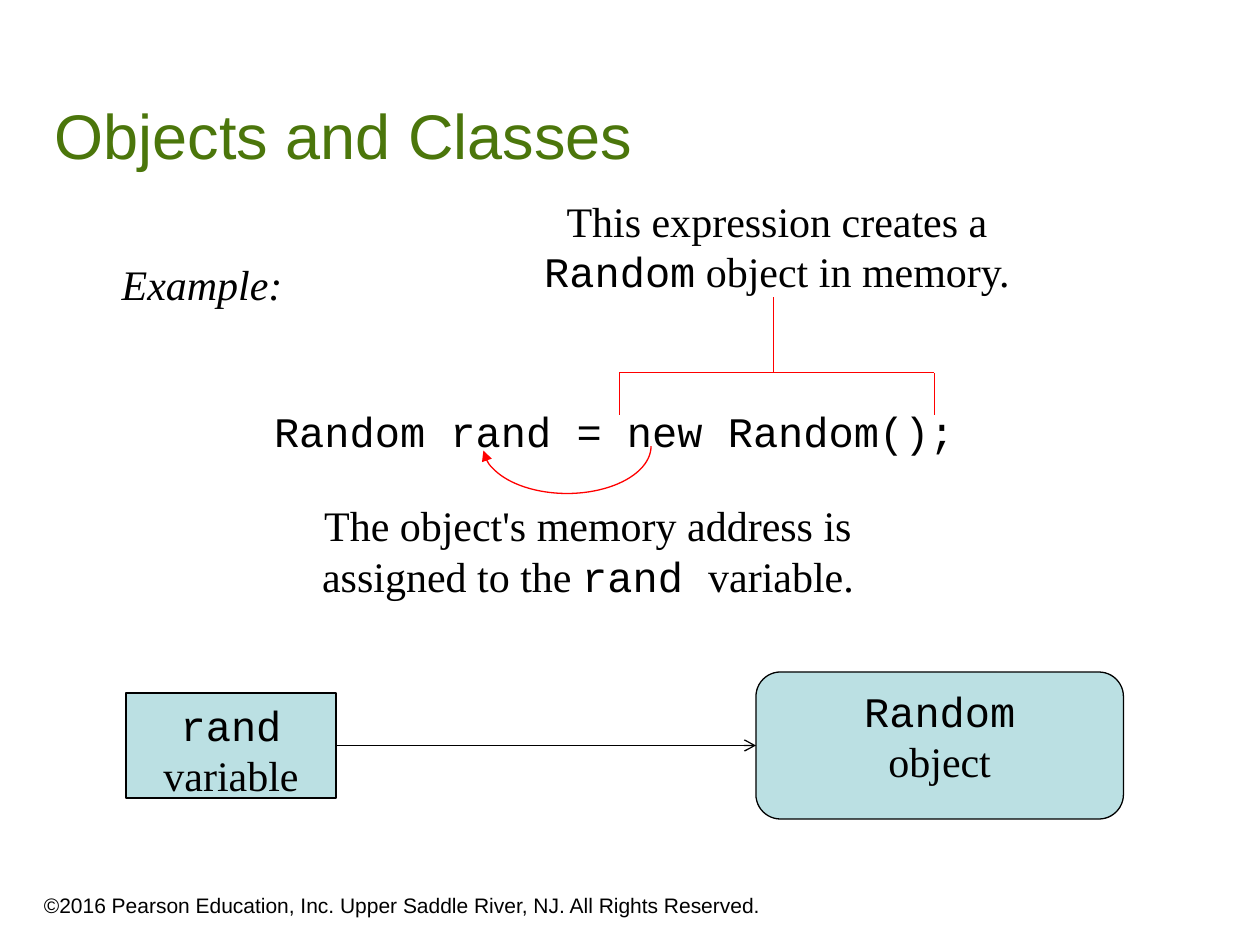
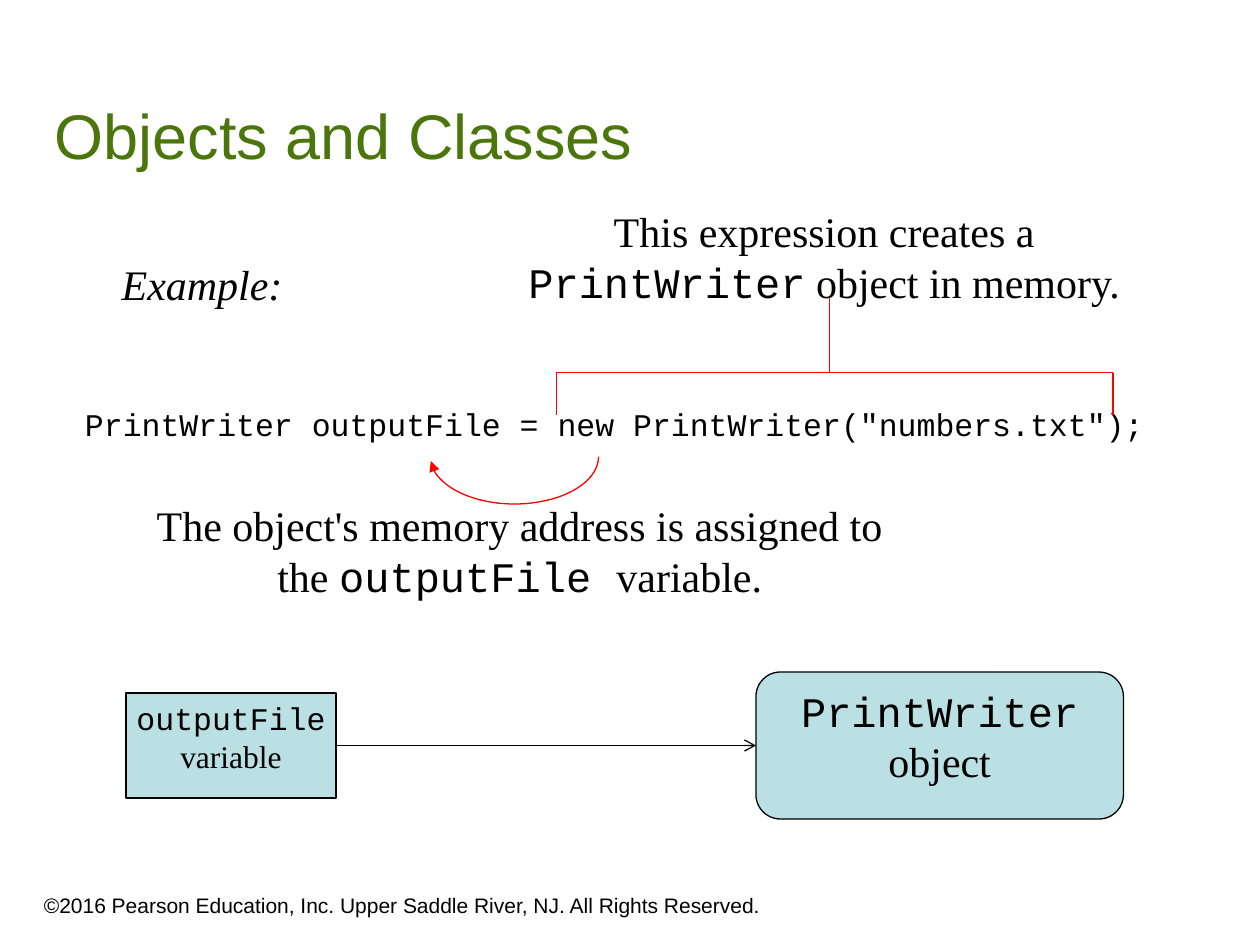
import pptx
import pptx.dml.color
import pptx.enum.shapes
import pptx.enum.text
import pptx.oxml
import pptx.oxml.ns
import pptx.util

COLORS = {"title": "4B760B", "ink": "000000", "box": "BBE0E3", "mark": "FF0000"}
HEADING, PROSE, CODE = "Arial", "Times New Roman", "Courier New"
COLUMNS, ROWS = 120, 90
COPYRIGHT = "©2016 Pearson Education, Inc. Upper Saddle River, NJ. All Rights Reserved."
ALIGN = pptx.enum.text.PP_ALIGN
ANCHOR = pptx.enum.text.MSO_ANCHOR
SHAPE = pptx.enum.shapes.MSO_SHAPE


def rgb(name):
    return pptx.dml.color.RGBColor.from_string(COLORS[name])


def write(frame, text, size=24, font=PROSE, color="ink", align=ALIGN.CENTER,
          anchor=ANCHOR.TOP, italic=False, wrap=True):
    """Fill a frame, one paragraph a line, with code between backticks."""
    frame.word_wrap = wrap
    frame.auto_size = pptx.enum.text.MSO_AUTO_SIZE.NONE
    frame.vertical_anchor = anchor
    for index, line in enumerate(text.split("\n")):
        paragraph = frame.add_paragraph() if index else frame.paragraphs[0]
        paragraph.alignment = align
        for part, words in enumerate(line.split("`")):
            if words:
                run = paragraph.add_run()
                run.text = words
                run.font.name = CODE if part % 2 else font
                run.font.size = pptx.util.Pt(size)
                run.font.italic = italic
                run.font.color.rgb = rgb(color)


class Deck:
    """Holds the shared style and the current slide, placed on a grid."""

    def __init__(self):
        self.deck = pptx.Presentation()
        self.deck.slide_width = pptx.util.Inches(10)
        self.deck.slide_height = pptx.util.Inches(7.5)
        self.slide = None

    def place(self, *cells):
        units = (self.deck.slide_width / COLUMNS, self.deck.slide_height / ROWS)
        return [round(cell * units[i % 2]) for i, cell in enumerate(cells)]

    def start(self, heading):
        self.slide = self.deck.slides.add_slide(self.deck.slide_layouts[5])
        title = self.slide.shapes.title
        title.left, title.top, title.width, title.height = self.place(4, 4, 113, 13)
        write(title.text_frame, heading, size=36, font=HEADING, color="title",
              align=ALIGN.LEFT, anchor=ANCHOR.BOTTOM)
        self.label((3, 83, 73, 5), COPYRIGHT, size=12, font=HEADING,
                   align=ALIGN.LEFT, anchor=ANCHOR.BOTTOM)

    def label(self, cells, text, **style):
        box = self.slide.shapes.add_textbox(*self.place(*cells))
        write(box.text_frame, text, **style)

    def stroke(self, shape, color, arrow=None):
        shape.line.color.rgb = rgb(color)
        shape.line.width = pptx.util.Pt(0.75)
        if arrow:
            line = shape.line._get_or_add_ln()
            pptx.oxml.ns.qn("a:tailEnd")
            line.append(pptx.oxml.parse_xml(
                f'<a:tailEnd {pptx.oxml.ns.nsdecls("a")} type="{arrow}"/>'))

    def block(self, kind, cells, text, **style):
        shape = self.slide.shapes.add_shape(kind, *self.place(*cells))
        shape.shadow.inherit = False
        shape.fill.solid()
        shape.fill.fore_color.rgb = rgb("box")
        self.stroke(shape, "ink")
        write(shape.text_frame, text, wrap=False, **style)

    def line(self, cells, color, arrow=None):
        straight = pptx.enum.shapes.MSO_CONNECTOR.STRAIGHT
        connector = self.slide.shapes.add_connector(straight, *self.place(*cells))
        self.stroke(connector, color, arrow)
        connector._element.spPr.append(pptx.oxml.parse_xml(
            f'<a:effectLst {pptx.oxml.ns.nsdecls("a")}/>'))

    def bracket(self, left, right, stem):
        top, foot = 35.5, 39.5
        for cells in ((left, foot, left, top), (left, top, right, top),
                      (right, foot, right, top), (stem, top, stem, 28.3)):
            self.line(cells, "mark")

    def swoop(self, left, top):
        arc = self.slide.shapes.add_shape(SHAPE.ARC, *self.place(left, top, 16, 9))
        arc.shadow.inherit = False
        arc.fill.background()
        arc.adjustments[0], arc.adjustments[1] = 0, 106.2
        self.stroke(arc, "mark", "triangle")

    def example(self, kind, variable, arguments, small, caption, bracket, swoop, address):
        self.start("Objects and Classes")
        self.label((6, 38, 105, 6), f"`{kind} {variable} = new {kind}({arguments});`",
                   size=small)
        self.block(SHAPE.RECTANGLE, (12, 66, 20, 10), f"`{variable}`\nvariable", size=small)
        self.block(SHAPE.ROUNDED_RECTANGLE, (72, 64, 35, 14), f"`{kind}`\nobject")
        self.line((32, 71, 72, 71), "ink", "arrow")
        self.label(caption, f"This expression creates a `{kind}` object in memory.")
        self.bracket(*bracket)
        self.swoop(*swoop)
        self.label(address, "The object's memory address is assigned to the "
                   f"`{variable} `variable.")
        self.label((10.5, 24, 17.5, 6), "Example:", italic=True, wrap=False)


def main():
    deck = Deck()
    deck.example("Random", "rand", "", 24, caption=(49, 18, 50, 11),
                 bracket=(59, 89, 73.7), swoop=(46, 38), address=(24, 47, 64, 11))
    deck.example("PrintWriter", "outputFile", '"numbers.txt"', 18,
                 caption=(49, 19, 59, 11), bracket=(53, 106, 79), swoop=(41, 39),
                 address=(13, 47, 73, 11))
    deck.deck.save("out.pptx")


if __name__ == "__main__":
    main()
